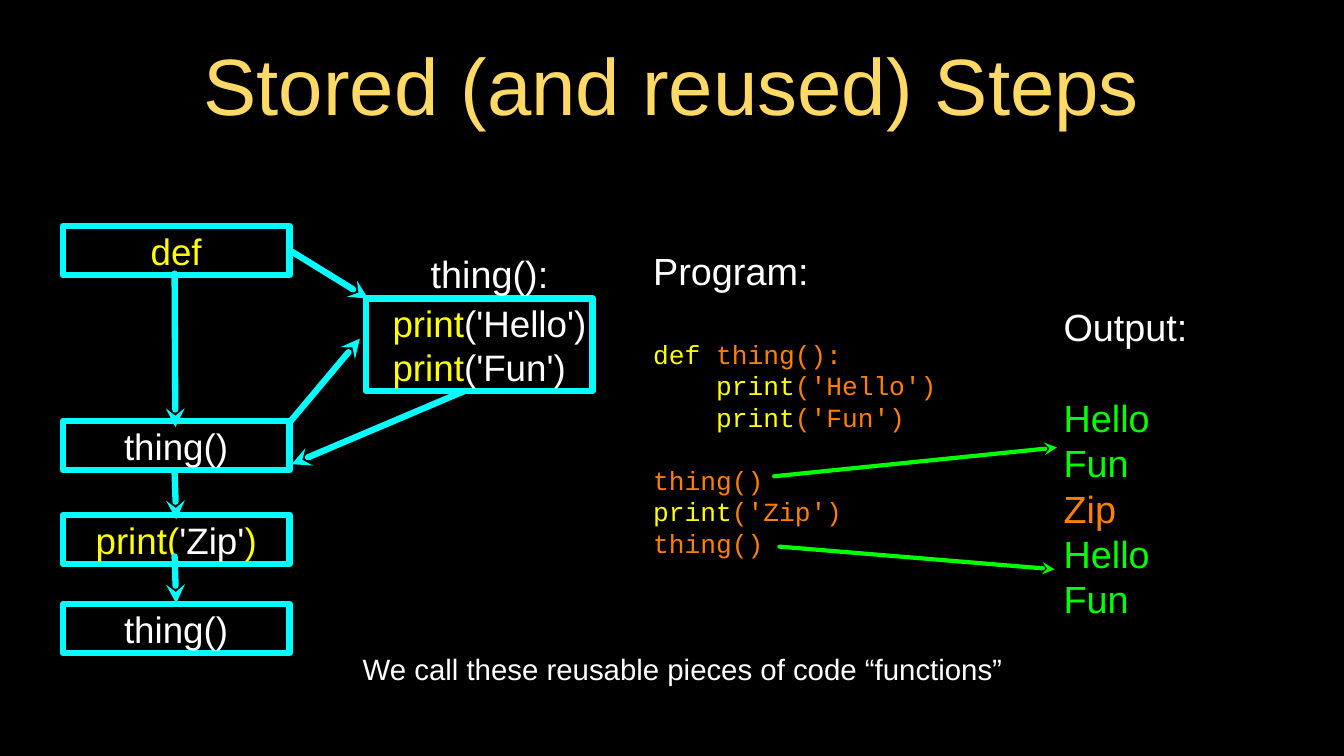
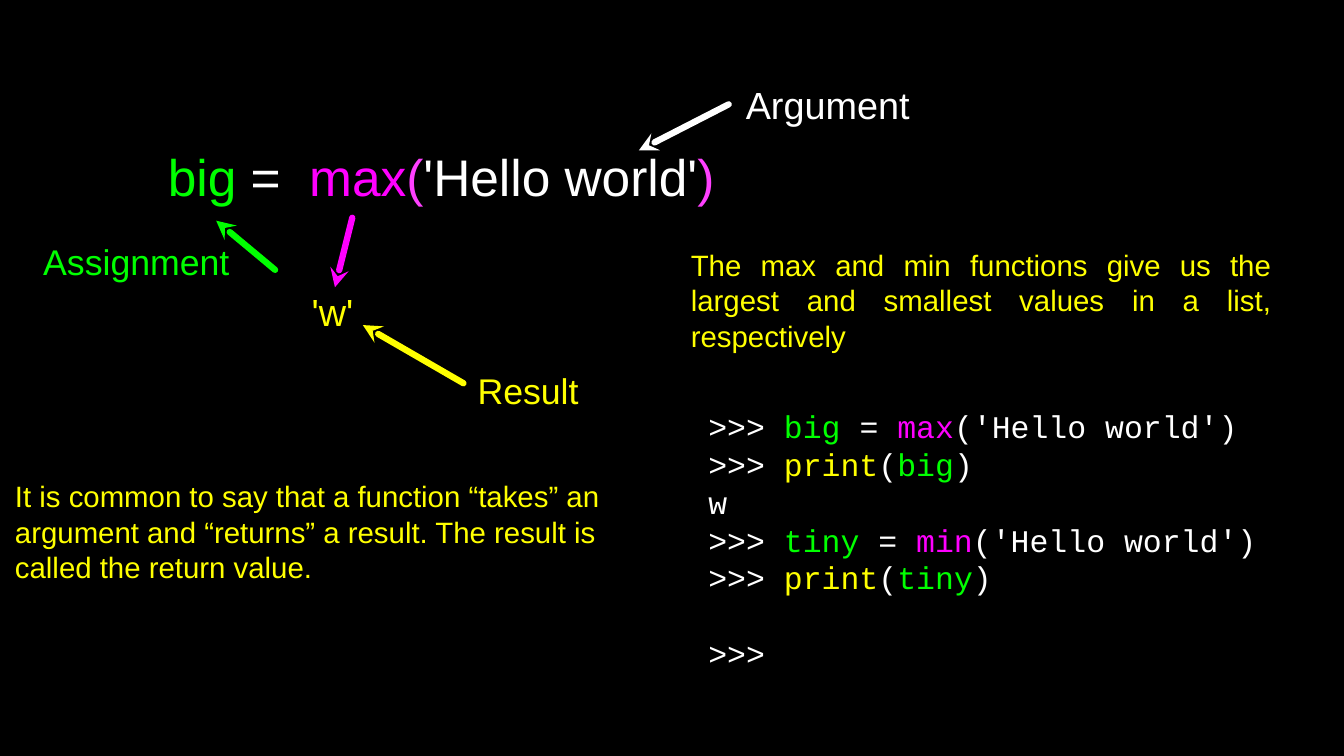
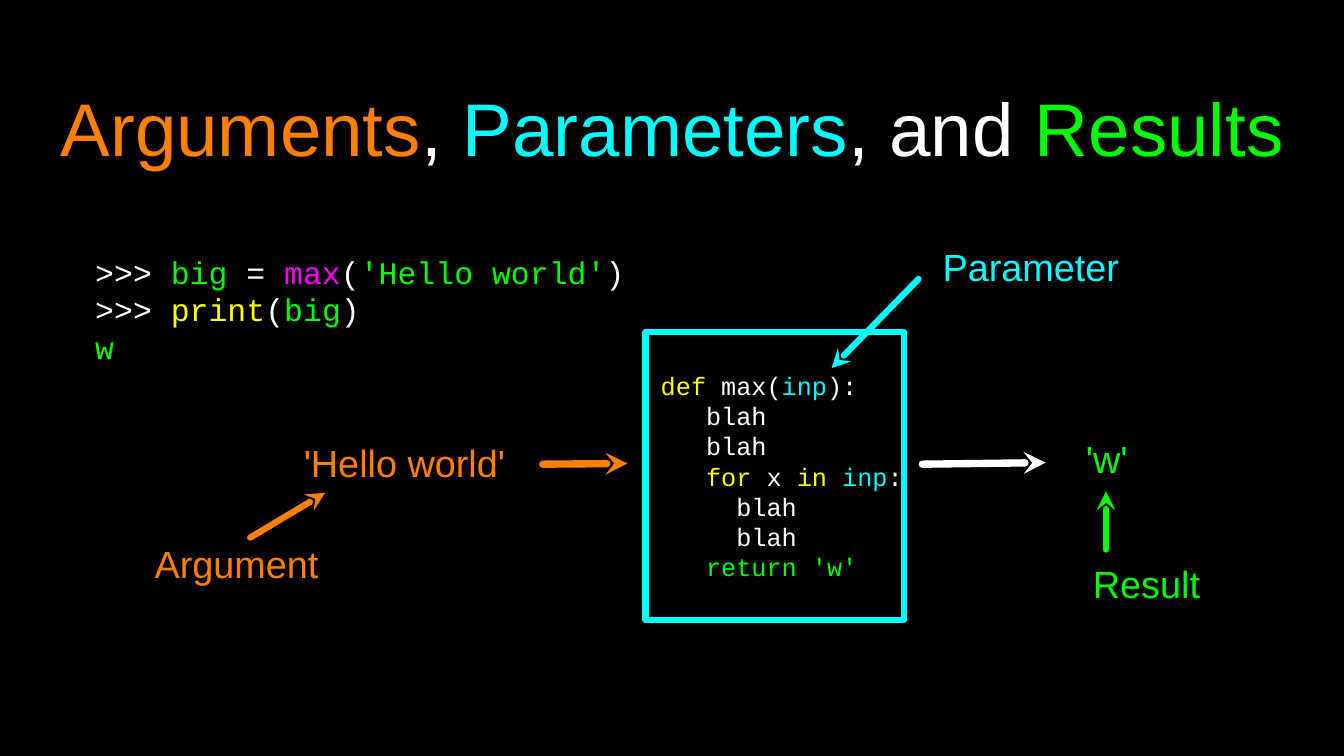
from dataclasses import dataclass
from typing import NamedTuple

from lxml.etree import SubElement
from pptx import Presentation
from pptx.dml.color import RGBColor
from pptx.enum.shapes import MSO_CONNECTOR, MSO_SHAPE
from pptx.enum.text import MSO_ANCHOR, MSO_AUTO_SIZE, PP_ALIGN
from pptx.oxml.ns import qn
from pptx.shapes.base import BaseShape
from pptx.slide import Slide
from pptx.util import Pt

BLACK = RGBColor(0x00, 0x00, 0x00)
WHITE = RGBColor(0xFF, 0xFF, 0xFF)
GOLD = RGBColor(0xFF, 0xD9, 0x66)
YELLOW = RGBColor(0xFF, 0xFF, 0x00)
GREEN = RGBColor(0x00, 0xFF, 0x00)
ORANGE = RGBColor(0xFF, 0x7F, 0x00)
CYAN = RGBColor(0x00, 0xFF, 0xFF)
MAGENTA = RGBColor(0xFF, 0x00, 0xFF)
PINK = RGBColor(0xFF, 0x40, 0xFF)

SANS = "Arial"
MONO = "Courier New"
LEADING = 1.2
MONO_ADVANCE = 0.6
LABEL_HEIGHT = 49
TITLE_ONLY, BLANK = 5, 6


class Span(NamedTuple):
    text: str
    color: RGBColor


class Area(NamedTuple):
    left: float
    top: float
    width: float
    height: float


@dataclass
class Line:
    spans: list[Span]
    size: float
    font: str = SANS
    indent: float = 0
    gap: float = 0
    align: PP_ALIGN = PP_ALIGN.LEFT


@dataclass
class Arrow:
    start: tuple[float, float]
    tip: tuple[float, float]
    color: RGBColor
    weight: float = 6


@dataclass
class Label:
    text: str
    area: Area
    color: RGBColor
    size: float = 36


def plain(text: str, color: RGBColor, size: float, gap: float = 0,
          align: PP_ALIGN = PP_ALIGN.LEFT) -> Line:
    return Line([Span(text, color)], size, gap=gap, align=align)


def code(size: float, *spans: tuple[str, RGBColor], columns: int = 0, gap: float = 0) -> Line:
    indent = columns * size * MONO_ADVANCE
    return Line([Span(*span) for span in spans], size, MONO, indent, gap)


def prompt(*spans: tuple[str, RGBColor]) -> Line:
    return code(30, (">>> ", WHITE), *spans)


def print_call(name: str) -> Line:
    return prompt(("print", YELLOW), ("(", WHITE), (name, GREEN), (")", WHITE))


def write(box: BaseShape, lines: list[Line], inset: float = 0,
          anchor: MSO_ANCHOR = MSO_ANCHOR.MIDDLE) -> None:
    frame = box.text_frame
    frame.word_wrap = True
    frame.auto_size = MSO_AUTO_SIZE.NONE
    frame.vertical_anchor = anchor
    frame.margin_left = frame.margin_right = Pt(inset)
    frame.margin_top = frame.margin_bottom = Pt(inset)
    for number, line in enumerate(lines):
        para = frame.add_paragraph() if number else frame.paragraphs[0]
        para.alignment = line.align
        para.line_spacing = Pt(line.size * LEADING)
        para.space_before = Pt(line.gap)
        para.space_after = Pt(0)
        if line.indent:
            properties = para._p.get_or_add_pPr()
            properties.set("marL", str(Pt(line.indent)))
            properties.set("indent", "0")
        for span in line.spans:
            run = para.add_run()
            run.text = span.text
            run.font.name = line.font
            run.font.size = Pt(line.size)
            run.font.bold = False
            run.font.color.rgb = span.color


def place(area: Area) -> tuple[Pt, ...]:
    return tuple(Pt(length) for length in area)


def add_text(page: Slide, area: Area, lines: list[Line], inset: float = 0,
             anchor: MSO_ANCHOR = MSO_ANCHOR.MIDDLE) -> None:
    write(page.shapes.add_textbox(*place(area)), lines, inset, anchor)


def add_labels(page: Slide, labels: list[Label]) -> None:
    for label in labels:
        add_text(page, label.area,
                 [plain(label.text, label.color, label.size, align=PP_ALIGN.CENTER)])


def add_frame(page: Slide, area: Area, lines: list[Line]) -> None:
    box = page.shapes.add_shape(MSO_SHAPE.RECTANGLE, *place(area))
    box.shadow.inherit = False
    box.fill.background()
    box.line.color.rgb = CYAN
    box.line.width = Pt(6)
    write(box, lines)


def add_arrows(page: Slide, arrows: list[Arrow]) -> None:
    for arrow in arrows:
        ends = [Pt(length) for length in (*arrow.start, *arrow.tip)]
        connector = page.shapes.add_connector(MSO_CONNECTOR.STRAIGHT, *ends)
        connector.line.color.rgb = arrow.color
        connector.line.width = Pt(arrow.weight)
        outline = connector.line._ln
        outline.set("cap", "rnd")
        SubElement(outline, qn("a:round"))
        SubElement(outline, qn("a:tailEnd"), type="stealth", w="med", len="med")
        SubElement(connector._element.spPr, qn("a:effectLst"))


def add_title(page: Slide, area: Area, size: float, spans: list[Span]) -> None:
    title = page.shapes.title
    title.left, title.top, title.width, title.height = place(area)
    write(title, [Line(spans, size, align=PP_ALIGN.CENTER)], inset=3)


def build_stored_steps(page: Slide) -> None:
    add_title(page, Area(90.7, 11.5, 1097.3, 136.8), 76,
              [Span("Stored (and reused) Steps", GOLD)])

    steps = [
        (215.3, [Span("def", YELLOW)]),
        (401, [Span("thing()", WHITE)]),
        (490.3, [Span("print(", YELLOW), Span("'Zip'", WHITE), Span(")", YELLOW)]),
        (575.3, [Span("thing()", WHITE)]),
    ]
    for top, spans in steps:
        add_frame(page, Area(59.8, top, 216, 46.8), [Line(spans, 35, align=PP_ALIGN.CENTER)])

    add_frame(page, Area(348.5, 284.4, 216, 87.8), [
        Line([Span("print", YELLOW), Span(f"('{word}')", WHITE)], 35,
             indent=indent, align=PP_ALIGN.CENTER)
        for word, indent in (("Hello", 19.5), ("Fun", 0))
    ])
    add_labels(page, [
        Label("thing():", Area(396.7, 236.2, 139, LABEL_HEIGHT), WHITE),
        Label("We call these reusable pieces of code “functions”",
              Area(303.1, 612, 693.4, LABEL_HEIGHT), WHITE, 28),
    ])

    body = [code(25, ("print", YELLOW), (f"('{word}')", ORANGE), columns=4)
            for word in ("Hello", "Fun")]
    add_text(page, Area(622.1, 234, 282.2, 299.5), [
        plain("Program:", WHITE, 36),
        code(25, ("def", YELLOW), (" thing():", ORANGE), gap=36 * LEADING),
        *body,
        code(25, ("thing()", ORANGE), gap=25 * LEADING),
        code(25, ("print", YELLOW), ("('Zip')", ORANGE)),
        code(25, ("thing()", ORANGE)),
    ])
    add_text(page, Area(1013, 293, 249.1, 295.2), [
        plain("Output:", WHITE, 36),
        plain("Hello", GREEN, 36, gap=36 * LEADING),
        plain("Fun", GREEN, 36),
        plain("Zip", ORANGE, 36),
        plain("Hello", GREEN, 36),
        plain("Fun", GREEN, 36),
    ])
    add_arrows(page, [
        Arrow((166.3, 260.6), (167, 406.8), CYAN),
        Arrow((166.3, 450), (167.8, 494.6), CYAN),
        Arrow((166.3, 529.9), (167.8, 574.6), CYAN),
        Arrow((275.8, 238.3), (350.6, 284.4), CYAN),
        Arrow((275, 403.2), (342.7, 322.6), CYAN),
        Arrow((442.8, 372.2), (277.9, 442.1), CYAN),
        Arrow((737.3, 453.6), (1006.6, 426.2), GREEN, 4),
        Arrow((742.3, 520.6), (1004.4, 542.2), GREEN, 4),
    ])


def build_max_call(page: Slide) -> None:
    add_text(page, Area(159.8, 135.4, 534.2, 64), [
        Line([Span("big", GREEN), Span(" =  ", WHITE), Span("max", MAGENTA),
              Span("(", PINK), Span("'Hello world'", WHITE), Span(")", PINK)], 49),
    ])
    add_labels(page, [
        Label("Argument", Area(694, 74.9, 188.6, LABEL_HEIGHT), WHITE),
        Label("'w'", Area(292.6, 272.2, 48.2, LABEL_HEIGHT), YELLOW),
        Label("Result", Area(452.9, 347, 100.1, LABEL_HEIGHT), YELLOW, 34),
        Label("Assignment", Area(26.6, 224.6, 206.6, LABEL_HEIGHT), GREEN, 34),
    ])
    add_arrows(page, [
        Arrow((694, 99.4), (608.4, 143.3), WHITE),
        Arrow((441.4, 365), (345.6, 309.6), YELLOW),
        Arrow((262, 257), (205.9, 210.2), GREEN),
        Arrow((335.5, 207.4), (319, 273.6), MAGENTA),
    ])
    notes = [
        (Area(7.2, 448.6, 640, 108.7), PP_ALIGN.LEFT,
         "It is common to say that a function “takes” an argument and “returns” a result. "
         "The result is called the return value."),
        (Area(650.9, 228.2, 566.6, 108.7), PP_ALIGN.JUSTIFY,
         "The max and min functions give us the largest and smallest values in a list, "
         "respectively"),
    ]
    for area, align, text in notes:
        add_text(page, area, [plain(text, YELLOW, 28, align=align)],
                 inset=7.2, anchor=MSO_ANCHOR.TOP)

    session = []
    for name, function in (("big", "max"), ("tiny", "min")):
        session += [
            prompt((name, GREEN), (" = ", WHITE), (function, MAGENTA),
                   ("('Hello world')", WHITE)),
            print_call(name),
        ]
    session.insert(2, code(30, ("w", WHITE)))
    session.append(code(30, (">>>", WHITE), gap=30 * LEADING))
    add_text(page, Area(674.6, 383.8, 550, 260), session)


def build_arguments(page: Slide) -> None:
    add_title(page, Area(7.9, 52.6, 1264.3, 136.8), 71, [
        Span("Arguments", ORANGE), Span(", ", WHITE), Span("Parameters", CYAN),
        Span(", and ", WHITE), Span("Results", GREEN),
    ])
    add_text(page, Area(90.7, 229, 594.7, 131), [
        prompt(("big", GREEN), (" = ", WHITE), ("max", MAGENTA), ("(", WHITE),
               ("'Hello world'", GREEN), (")", WHITE)),
        print_call("big"),
        code(30, ("w", GREEN)),
    ])
    add_frame(page, Area(614.9, 316.1, 246.2, 274.3), [
        code(24, ("def", YELLOW), (" max(", WHITE), ("inp", CYAN), ("):", WHITE), columns=1),
        *[code(24, ("blah", WHITE), columns=4) for _ in range(2)],
        code(24, ("for", YELLOW), (" x ", WHITE), ("in ", YELLOW), ("inp", CYAN),
             (":", WHITE), columns=4),
        *[code(24, ("blah", WHITE), columns=6) for _ in range(2)],
        code(24, ("return 'w'", GREEN), columns=4),
    ])
    add_labels(page, [
        Label("'Hello world' ", Area(277.9, 416.2, 224.6, LABEL_HEIGHT), ORANGE),
        Label("'w'", Area(1028.9, 411.8, 50.4, LABEL_HEIGHT), GREEN),
        Label("Argument", Area(133.9, 512, 182.9, LABEL_HEIGHT), ORANGE),
        Label("Parameter", Area(884.2, 229, 195.1, LABEL_HEIGHT), CYAN),
        Label("Result", Area(1025.3, 531.4, 133.2, LABEL_HEIGHT), GREEN),
    ])
    add_arrows(page, [
        Arrow((517, 442.1), (597.6, 441.4), ORANGE, 7),
        Arrow((878.4, 442.1), (995.8, 440.6), WHITE, 7),
        Arrow((238.3, 512), (309.6, 469.4), ORANGE),
        Arrow((874.8, 265.7), (792, 350.6), CYAN),
        Arrow((1053.4, 523.4), (1053.4, 468), GREEN),
    ])


deck = Presentation()
deck.slide_width, deck.slide_height = Pt(1280), Pt(720)
background = deck.slide_master.background.fill
background.solid()
background.fore_color.rgb = BLACK
for layout, build in ((TITLE_ONLY, build_stored_steps), (BLANK, build_max_call),
                      (TITLE_ONLY, build_arguments)):
    build(deck.slides.add_slide(deck.slide_layouts[layout]))
deck.save("out.pptx")
